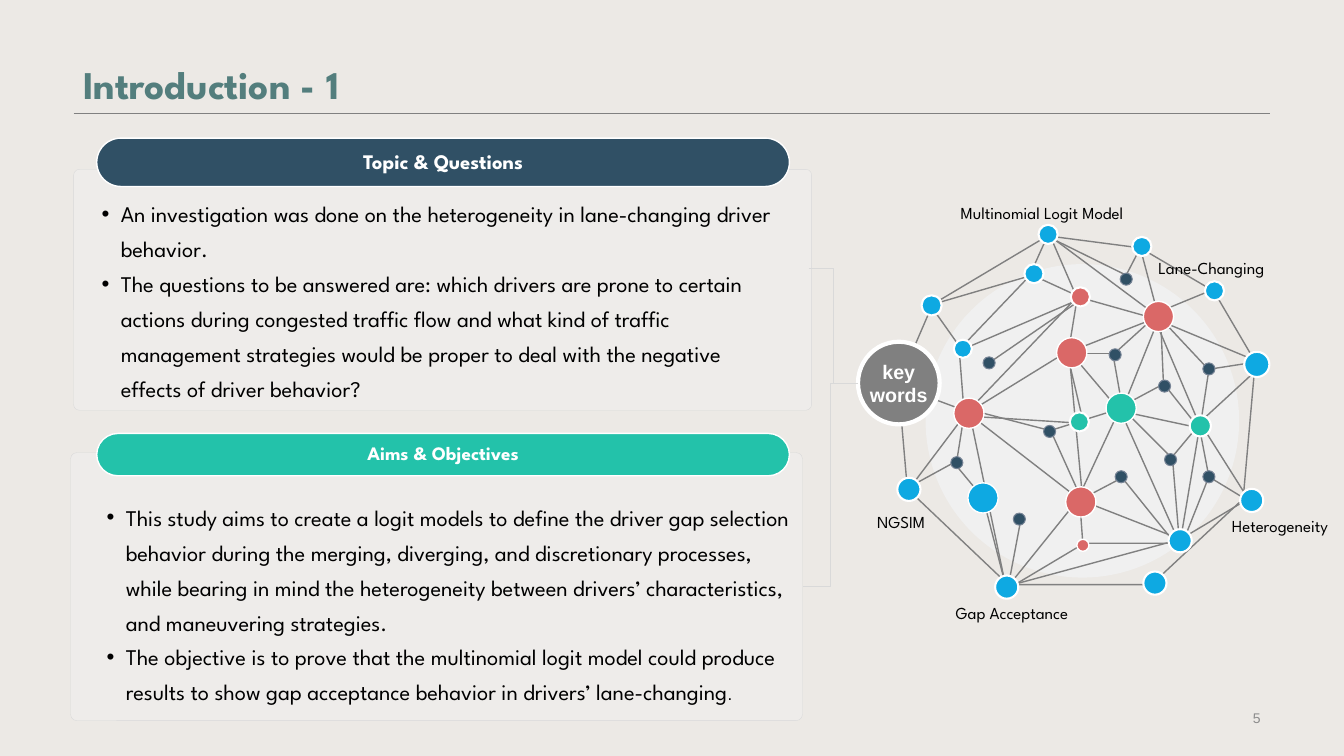
from lxml.etree import SubElement
from pptx import Presentation
from pptx.dml.color import RGBColor
from pptx.enum.shapes import MSO_CONNECTOR as Link, MSO_SHAPE as Shape
from pptx.enum.text import MSO_ANCHOR as Anchor, PP_ALIGN as Align
from pptx.oxml.ns import qn
from pptx.util import Inches, Pt

CELL = Inches(0.01)
COLUMNS, ROWS = 1333, 750
SPARTAN, SANS = "League Spartan", "Arial"
NAVY, TEAL, RED, BLUE = "305065", "23C2AA", "DA6867", "0EA9E2"
WHITE, BLACK, GRAY, PALE = "FFFFFF", "000000", "808080", "D9D9D9"

EDGES = [
    [(356, 183), (390, 226), (399, 167), (355, 120)],
    [(367, 341), (313, 274), (277, 293), (271, 298), (274, 339), (370, 339), (312, 209),
     (351, 112), (354, 181), (313, 203), (304, 152), (347, 113), (237, 31)],
    [(274, 96), (181, 160)],
    [(239, 34), (331, 46), (404, 89), (445, 159), (433, 295), (342, 380), (200, 380),
     (100, 285), (91, 181), (125, 102), (239, 34)],
    [(125, 102), (224, 73), (274, 96), (345, 116), (453, 161), (390, 219), (438, 295),
     (371, 335), (205, 380)],
    [(125, 106), (154, 147), (268, 98), (260, 147), (274, 297), (371, 335), (390, 222),
     (345, 116), (261, 149), (310, 207), (269, 295), (268, 297), (198, 384), (161, 207),
     (268, 95), (242, 35)],
    [(151, 142), (156, 207), (94, 184)],
    [(156, 142), (221, 74), (239, 34), (242, 36), (317, 73), (331, 46), (348, 110), (399, 89)],
    [(159, 209), (274, 298), (242, 227), (274, 217), (258, 149), (164, 207), (241, 227)],
    [(317, 209), (362, 254), (387, 224), (317, 209)],
    [(212, 318), (199, 387), (175, 294), (146, 259), (104, 282), (156, 213), (149, 257)],
    [(274, 220), (163, 213)],
    [(440, 160), (395, 167)],
    [(372, 341), (399, 273), (390, 226)],
    [(440, 298), (399, 273)],
    [(363, 256), (370, 341)],
    [(272, 341), (195, 387)],
    [(306, 151), (264, 151)],
    [(306, 207), (277, 216)],
]

NODES = [
    (NAVY, "768395", 0.75, 12, [(311, 71), (393, 160), (349, 177), (300, 146), (235, 222),
                                (175, 154), (143, 253), (205, 309), (306, 267), (355, 250),
                                (393, 267)]),
    (RED, WHITE, 1, 12, [(268, 335)]),
    (RED, WHITE, 1, 30, [(334, 99), (248, 135), (146, 195), (257, 283)]),
    (RED, WHITE, 1.5, 19, [(262, 85)]),
    (TEAL, WHITE, 1, 30, [(297, 190)]),
    (TEAL, WHITE, 1.5, 19, [(261, 209)]),
    (TEAL, WHITE, 1.5, 21, [(380, 212)]),
    (BLUE, WHITE, 1.5, 23, [(90, 274), (187, 371), (334, 367), (430, 285), (359, 325)]),
    (BLUE, WHITE, 1.5, 25, [(434, 149)]),
    (BLUE, WHITE, 1.5, 19, [(395, 79), (323, 35), (230, 23), (216, 62)]),
    (BLUE, WHITE, 1.5, 20, [(114, 93)]),
    (BLUE, WHITE, 1.5, 18, [(146, 137)]),
    (BLUE, WHITE, 1, 30, [(160, 279)]),
]

KEYWORDS = [
    ("Lane-Changing", 339, 51, 135),
    ("Gap Acceptance", 138, 393, 149),
    ("NGSIM", 60, 303, 135),
    ("Heterogeneity", 412, 307, 121),
    ("Multinomial Logit Model", 143, -4, 205),
]


def colour(hex_code):
    return RGBColor.from_string(hex_code)


def inside(box, part):
    return (box[0] + part[0], box[1] + part[1], *part[2:])


def cells(values):
    return [round(value * CELL) for value in values]


def outline(item, hex_code, width):
    item.line.color.rgb = colour(hex_code)
    item.line.width = Pt(width)


def style(paragraph, font, size, hex_code, bold=False):
    paragraph.font.name = font
    paragraph.font.size = Pt(size)
    paragraph.font.color.rgb = colour(hex_code)
    paragraph.font.bold = bold


def shape(slide, kind, box, fill, line=None, width=1, rounding=None, opacity=None):
    item = slide.shapes.add_shape(kind, *cells(box))
    item.shadow.inherit = False
    item.fill.solid()
    item.fill.fore_color.rgb = colour(fill)
    if opacity:
        tone = item.fill._xPr.find(".//" + qn("a:srgbClr"))
        SubElement(tone, qn("a:alpha"), val=str(opacity * 1000))
    if line:
        outline(item, line, width)
    else:
        item.line.fill.background()
    if rounding:
        item.adjustments[0] = rounding
    return item


def connect(slide, kind, start, end, line, width):
    item = slide.shapes.add_connector(kind, *cells(start + end))
    SubElement(item._element.spPr, qn("a:effectLst"))
    outline(item, line, width)


def write(frame, lines, font, size, hex_code, bold=False, align=Align.LEFT, spacing=1.0,
          anchor=Anchor.TOP, wrap=True, bullets=False):
    frame.word_wrap = wrap
    frame.vertical_anchor = anchor
    for number, line in enumerate(lines):
        paragraph = frame.paragraphs[0] if number == 0 else frame.add_paragraph()
        paragraph.add_run().text = line
        paragraph.alignment = align
        paragraph.line_spacing = spacing
        if bullets:
            props = paragraph._p.get_or_add_pPr()
            props.set("marL", str(19 * CELL))
            props.set("indent", str(-19 * CELL))
            SubElement(props, qn("a:buFont"), typeface=SANS)
            SubElement(props, qn("a:buChar"), char="•")
        style(paragraph, font, size, hex_code, bold)
    return frame


def text(slide, box, lines, *look, **layout):
    frame = slide.shapes.add_textbox(*cells(box)).text_frame
    return write(frame, lines, *look, **layout)


def header(slide, box):
    left, top, width, height = box
    rule = top + height
    connect(slide, Link.STRAIGHT, (left, rule), (left + width, rule), GRAY, 0.25)
    text(slide, box, ["Introduction - 1"], SPARTAN, 28, "537E7D", bold=True,
         spacing=0.9, anchor=Anchor.BOTTOM)


def panel(slide, box, pill, body, fill, heading, size, spacing, points):
    shape(slide, Shape.ROUNDED_RECTANGLE, box, "F2F2F2", PALE, 0.25, 0.024, 40)
    banner = shape(slide, Shape.ROUNDED_RECTANGLE, inside(box, pill), fill, WHITE, 1, 0.5)
    write(banner.text_frame, [heading], SPARTAN, size, WHITE, bold=True, align=Align.CENTER,
          spacing=spacing, anchor=Anchor.MIDDLE, wrap=False)
    return text(slide, inside(box, body), points, SPARTAN, 16, BLACK, spacing=1.3, bullets=True)


def network(slide, box):
    shape(slide, Shape.OVAL, inside(box, (118, 62, 311, 311)), "F0F0F0")
    for edge in EDGES:
        points = [inside(box, point) for point in edge]
        if len(points) == 2:
            connect(slide, Link.STRAIGHT, *points, GRAY, 1)
            continue
        start, *rest = [cells(point) for point in points]
        builder = slide.shapes.build_freeform(*start)
        builder.add_line_segments(rest, close=edge[0] == edge[-1])
        web = builder.convert_to_shape()
        web.shadow.inherit = False
        web.fill.background()
        outline(web, GRAY, 1)
    for fill, line, width, size, places in NODES:
        for place in places:
            shape(slide, Shape.OVAL, inside(box, (*place, size, size)), fill, line, width)
    hub = shape(slide, Shape.OVAL, inside(box, (51, 139, 81, 82)), GRAY, WHITE, 3)
    write(hub.text_frame, ["key", "words"], SANS, 14, WHITE, bold=True, align=Align.CENTER,
          anchor=Anchor.MIDDLE, wrap=False)
    connect(slide, Link.ELBOW, inside(box, (2, 66)), inside(box, (51, 180)), PALE, 0.25)
    connect(slide, Link.ELBOW, inside(box, (51, 180)), inside(box, (-4, 382)), PALE, 0.25)
    for keyword, left, top, width in KEYWORDS:
        text(slide, inside(box, (left, top, width, 30)), [keyword], SPARTAN, 12, BLACK)


def main():
    deck = Presentation()
    deck.slide_width, deck.slide_height = cells((COLUMNS, ROWS))
    slide = deck.slides.add_slide(deck.slide_layouts[6])
    slide.background.fill.solid()
    slide.background.fill.fore_color.rgb = colour("ECE9E5")
    header(slide, (73, 0, 1187, 112))
    text(slide, (942, 701, 318, 23), ["5"], SANS, 10, "8C8C8C", align=Align.RIGHT,
         anchor=Anchor.MIDDLE)
    panel(slide, (73, 168, 732, 239), (23, -31, 687, 48), (18, 18, 693, 187), NAVY,
          "Topic & Questions", 14.8, 0.9, [
              "An investigation was done on the heterogeneity in lane-changing driver behavior.",
              "The questions to be answered are: which drivers are prone to certain actions during "
              "congested traffic flow and what kind of traffic management strategies would be "
              "proper to deal with the negative effects of driver behavior?"])
    aims = panel(slide, (70, 449, 726, 266), (26, -19, 687, 42), (26, 38, 707, 237), TEAL,
                 "Aims & Objectives", 13.6, 0.8, [
                     "This study aims to create a logit models to define the driver gap selection "
                     "behavior during the merging, diverging, and discretionary processes, while "
                     "bearing in mind the heterogeneity between drivers’ characteristics, and "
                     "maneuvering strategies.",
                     "The objective is to prove that the multinomial logit model could produce "
                     "results to show gap acceptance behavior in drivers’ lane-changing"])
    stop = aims.paragraphs[-1].add_run()
    stop.text = "."
    stop.font.name, stop.font.size = SANS, Pt(12)
    network(slide, (800, 200))
    deck.save("out.pptx")


if __name__ == "__main__":
    main()
